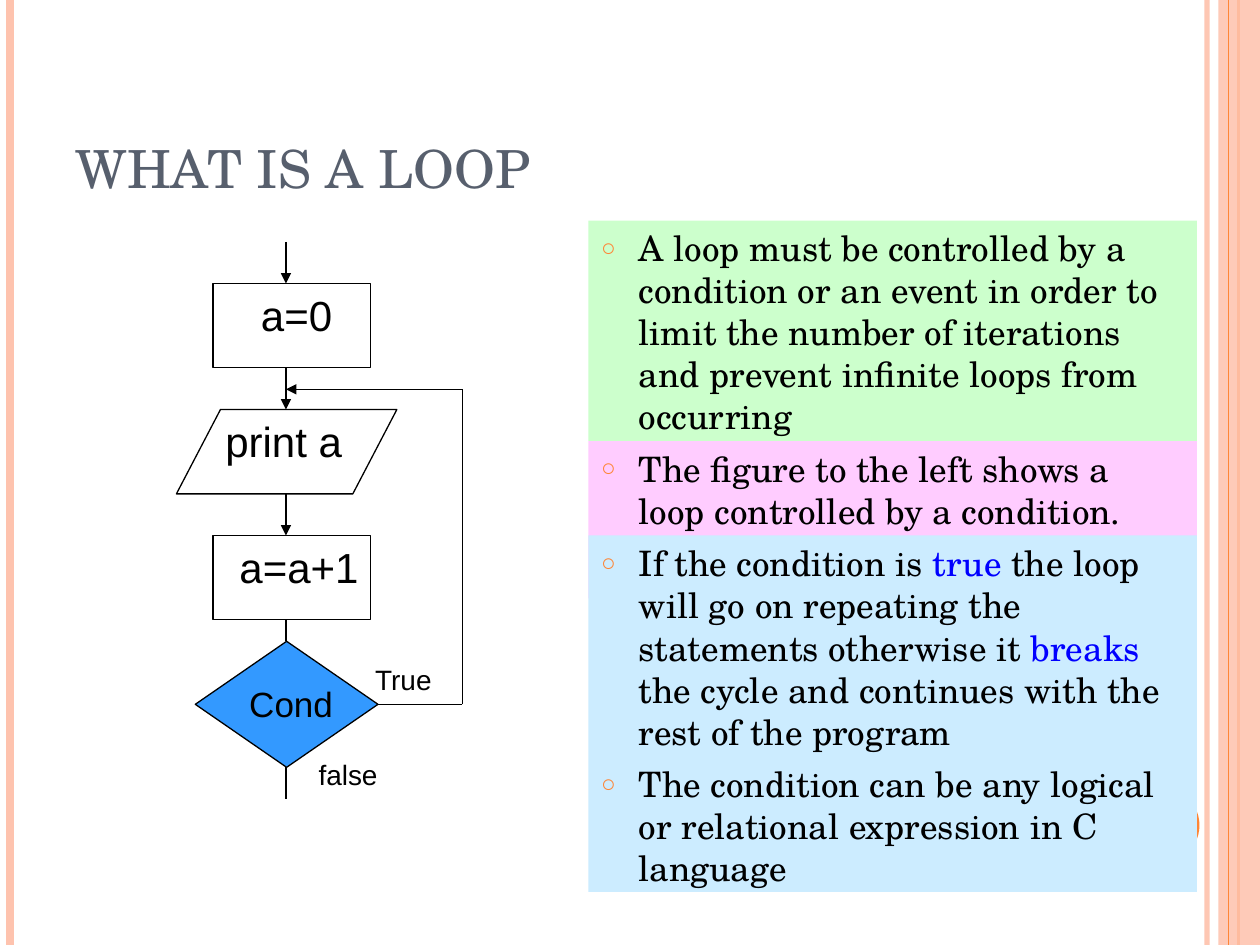
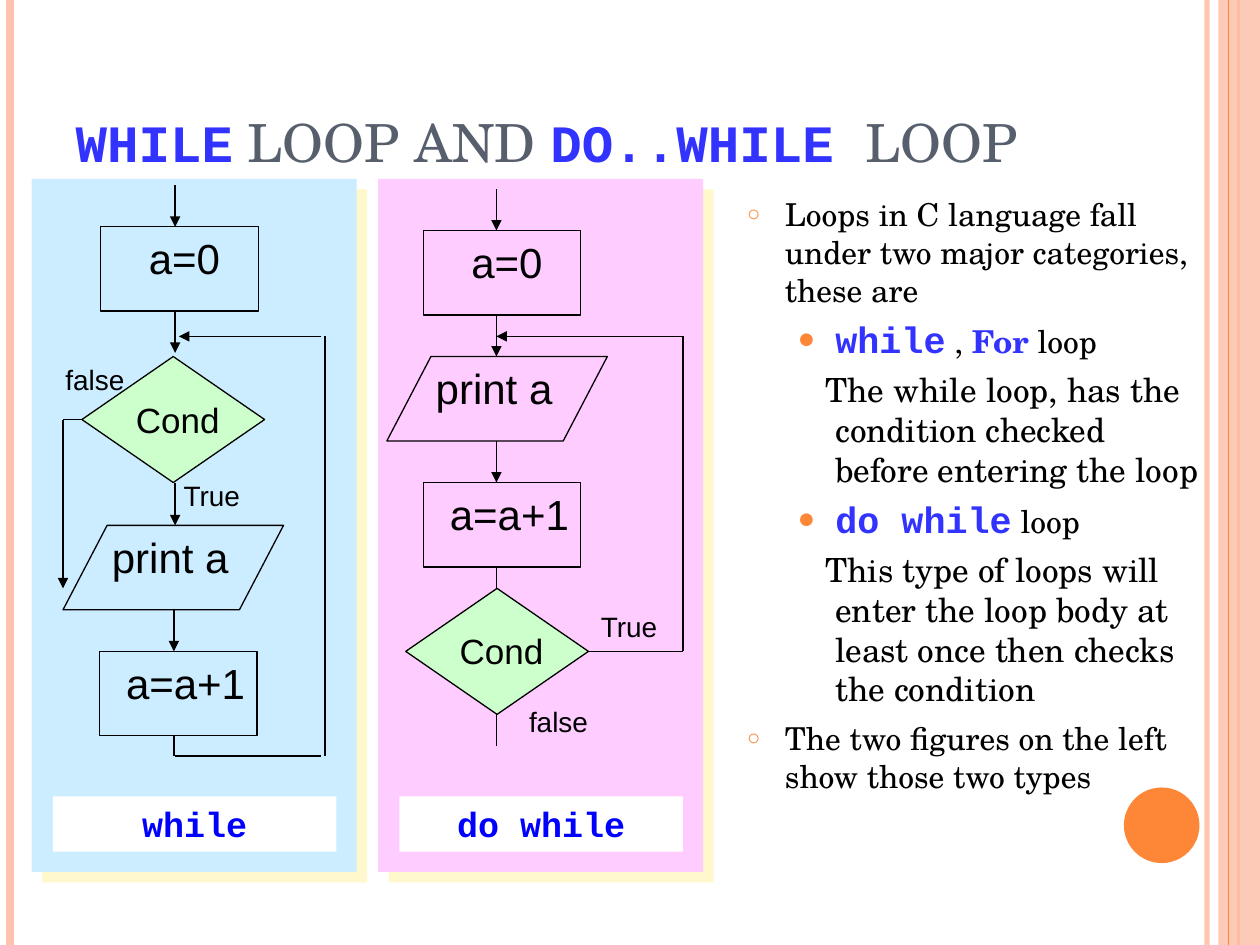
from dataclasses import dataclass
from typing import NamedTuple

from lxml.etree import SubElement
from pptx import Presentation
from pptx.dml.color import RGBColor
from pptx.enum.shapes import MSO_CONNECTOR, MSO_SHAPE
from pptx.enum.text import MSO_ANCHOR, MSO_AUTO_SIZE, PP_ALIGN
from pptx.oxml.ns import qn
from pptx.util import Pt

PX = 9144  # EMU per px, 100 px to the inch


@dataclass(frozen=True)
class Theme:
    serif: str = "TeX Gyre Schola"
    sans: str = "Arial"
    mono: str = "Courier New"
    ink: str = "000000"
    slate: str = "575F6D"
    orange: str = "FE8637"
    peach: str = "FEC3AE"
    shade: str = "FFF39D"
    white: str = "FFFFFF"
    green: str = "CCFFCC"
    pink: str = "FFCCFF"
    sky: str = "CCECFF"
    azure: str = "3399FF"
    blue: str = "0000FF"
    code: str = "3333FF"
    head: float = 30
    step: float = 24
    body: float = 20
    small: float = 18
    note: float = 19
    word: float = 21
    tag: float = 16
    hair: float = 0.75


T = Theme()


class Box(NamedTuple):
    left: int
    top: int
    width: int
    height: int


class Run(NamedTuple):
    text: str
    size: float
    color: str = T.ink
    font: str = T.serif
    bold: bool = False


class Mark(NamedTuple):
    level: int
    margin: int
    indent: int
    before: float
    char: str = ""
    scale: int = 100


class Item(NamedTuple):
    mark: Mark
    runs: list[Run]


class Label(NamedTuple):
    text: str
    box: Box
    size: float


class Node(NamedTuple):
    kind: MSO_SHAPE
    width: int
    height: int
    label: Label


class Wire(NamedTuple):
    x1: int
    y1: int
    x2: int
    y2: int
    arrow: bool = False


class Flow(NamedTuple):
    x: int  # spine of the chart
    y: int  # top of the first arrow
    fill: str
    nodes: list[tuple[Node, int, int]]
    wires: list[Wire]
    tags: list[tuple[Label, int, int]]


# Bullet styles
TOP = Mark(0, 30, -30, 6, "○", 70)
SUB = Mark(1, 70, -30, 4.5, "●", 80)
NOTE = Mark(1, 70, -8, 4.8)

# Flow chart parts; label places are relative to their node
SET = Node(MSO_SHAPE.RECTANGLE, 125, 67, Label(" a=0", Box(19, 0, 88, 50), T.step))
ADD = Node(MSO_SHAPE.RECTANGLE, 125, 67, Label(" a=a+1", Box(2, 0, 126, 50), T.step))
PRINT = Node(MSO_SHAPE.FLOWCHART_DATA, 175, 67, Label("print a", Box(29, 0, 116, 50), T.step))
COND = Node(MSO_SHAPE.FLOWCHART_DECISION, 145, 100, Label("Cond", Box(33, 28, 90, 44), T.body))
TRUE = Label("True", Box(0, 0, 67, 37), T.tag)
FALSE = Label("false", Box(0, 0, 69, 37), T.tag)


def rgb(color: str) -> RGBColor:
    return RGBColor.from_string(color)


def emu(box: Box) -> list[int]:
    return [side * PX for side in box]


def fade(fill, percent: int) -> None:
    tint = fill._xPr.find(".//" + qn("a:srgbClr"))
    SubElement(tint, qn("a:alpha")).set("val", str(percent * 1000))


def draw_shape(slide, kind: MSO_SHAPE, box: Box, fill: str = "", line: str = ""):
    shape = slide.shapes.add_shape(kind, *emu(box))
    shape.shadow.inherit = False
    if fill:
        shape.fill.solid()
        shape.fill.fore_color.rgb = rgb(fill)
    else:
        shape.fill.background()
    if line:
        shape.line.color.rgb = rgb(line)
        shape.line.width = Pt(T.hair)
    else:
        shape.line.fill.background()
    return shape


def draw_line(slide, wire: Wire, color: str = T.ink, width: float = T.hair):
    ends = [end * PX for end in wire[:4]]
    line = slide.shapes.add_connector(MSO_CONNECTOR.STRAIGHT, *ends)
    line.line.color.rgb = rgb(color)
    line.line.width = Pt(width)
    if wire.arrow:
        SubElement(line.line._get_or_add_ln(), qn("a:tailEnd")).set("type", "triangle")
    SubElement(line._element.spPr, qn("a:effectLst"))
    return line


def add_runs(para, runs: list[Run]) -> None:
    for item in runs:
        run = para.add_run()
        run.text = item.text
        run.font.name = item.font
        run.font.size = Pt(item.size)
        run.font.bold = item.bold
        run.font.color.rgb = rgb(item.color)


def draw_label(slide, label: Label, x: int, y: int) -> None:
    box = label.box._replace(left=x + label.box.left, top=y + label.box.top)
    frame = slide.shapes.add_textbox(*emu(box)).text_frame
    frame.word_wrap = False
    frame.auto_size = MSO_AUTO_SIZE.SHAPE_TO_FIT_TEXT
    para = frame.paragraphs[0]
    para.space_before = Pt(label.size / 4)
    add_runs(para, [Run(label.text, label.size, font=T.sans)])


def draw_flow(slide, flow: Flow) -> None:
    for node, x, y in flow.nodes:
        left, top = flow.x + x, flow.y + y
        fill = flow.fill if node is COND else ""
        draw_shape(slide, node.kind, Box(left, top, node.width, node.height), fill, T.ink)
        draw_label(slide, node.label, left, top)
    for x1, y1, x2, y2, arrow in flow.wires:
        draw_line(slide, Wire(flow.x + x1, flow.y + y1, flow.x + x2, flow.y + y2, arrow))
    for label, x, y in flow.tags:
        draw_label(slide, label, flow.x + x, flow.y + y)


def late_test(x: int, y: int, fill: str, right: int, true_x: int) -> Flow:
    """Loop that tests its condition after the body."""
    drops = [Wire(0, top, 0, top + 33, True) for top in (0, 100, 200)]
    back = [Wire(72, 367, right, 367), Wire(right, 367, right, 117),
            Wire(right, 117, 0, 117, True)]
    return Flow(
        x, y, fill,
        [(SET, -58, 33), (PRINT, -87, 133), (ADD, -58, 233), (COND, -72, 317)],
        drops + [Wire(0, 300, 0, 317), Wire(0, 417, 0, 442)] + back,
        [(TRUE, true_x, 329), (FALSE, 16, 404)])


def early_test(x: int, y: int, fill: str) -> Flow:
    """Loop that tests its condition before the body."""
    drops = [Wire(0, 0, 0, 33, True), Wire(0, 100, 0, 133, True),
             Wire(0, 236, 0, 270, True), Wire(-1, 336, -1, 370, True)]
    back = [Wire(-1, 436, -1, 453), Wire(0, 453, 116, 453),
            Wire(119, 453, 119, 120), Wire(116, 120, 3, 120, True)]
    leave = [Wire(-74, 186, -89, 186), Wire(-89, 186, -89, 320, True)]
    return Flow(
        x, y, fill,
        [(SET, -59, 33), (COND, -74, 136), (PRINT, -89, 270), (ADD, -60, 370)],
        drops + back + leave,
        [(TRUE, -3, 228), (FALSE, -97, 136)])


def place(slide, holder, box: Box):
    """Move a placeholder, bring it in front and give back its text frame."""
    holder.left, holder.top, holder.width, holder.height = emu(box)
    slide.shapes._spTree.append(holder._element)
    frame = holder.text_frame
    frame.word_wrap = True
    frame.auto_size = MSO_AUTO_SIZE.NONE
    return frame


def set_title(slide, box: Box, runs: list[Run]) -> None:
    frame = place(slide, slide.shapes.title, box)
    frame.vertical_anchor = MSO_ANCHOR.BOTTOM
    frame.paragraphs[0].alignment = PP_ALIGN.LEFT
    add_runs(frame.paragraphs[0], runs)


def set_mark(para, mark: Mark) -> None:
    para.level = mark.level
    para.space_before = Pt(mark.before)
    props = para._p.get_or_add_pPr()
    props.set("marL", str(mark.margin * PX))
    props.set("indent", str(mark.indent * PX))
    if not mark.char:
        SubElement(props, qn("a:buNone"))
        return
    SubElement(SubElement(props, qn("a:buClr")), qn("a:srgbClr")).set("val", T.orange)
    SubElement(props, qn("a:buSzPct")).set("val", str(mark.scale * 1000))
    SubElement(props, qn("a:buFont")).set("typeface", T.sans)
    SubElement(props, qn("a:buChar")).set("char", mark.char)


def set_body(slide, box: Box, items: list[Item]) -> None:
    frame = place(slide, slide.placeholders[1], box)
    for index, item in enumerate(items):
        para = frame.add_paragraph() if index else frame.paragraphs[0]
        set_mark(para, item.mark)
        add_runs(para, item.runs)


def draw_panel(slide, left: int, fill: str, name: str) -> None:
    panel = draw_shape(slide, MSO_SHAPE.RECTANGLE, Box(left, 142, 258, 550), fill)
    glow = SubElement(panel._element.spPr.find(qn("a:effectLst")), qn("a:outerShdw"))
    for key, val in {"dist": Pt(8.5), "dir": 45 * 60000, "algn": "ctr", "rotWithShape": 0}.items():
        glow.set(key, str(val))
    tint = SubElement(glow, qn("a:srgbClr"))
    tint.set("val", T.shade)
    SubElement(tint, qn("a:alpha")).set("val", "50000")
    # Caption strip
    strip = draw_shape(slide, MSO_SHAPE.RECTANGLE, Box(left + 17, 632, 225, 44), T.white)
    frame = strip.text_frame
    frame.word_wrap = True
    frame.auto_size = MSO_AUTO_SIZE.SHAPE_TO_FIT_TEXT
    frame.vertical_anchor = MSO_ANCHOR.TOP
    para = frame.paragraphs[0]
    para.alignment = PP_ALIGN.CENTER
    para.space_before = Pt(12.5)
    add_runs(para, [Run(name, T.body, T.blue, T.mono, True)])


def dress_master(deck, slide) -> None:
    """Draw the side bands and disc, then move them to the slide master."""
    def rule(x: int, color: str, width: float):
        return draw_line(slide, Wire(x, 0, x, 750), color, width)

    inner = rule(958, T.peach, 3)
    fade(inner.line.fill, 93)
    parts = [inner, rule(8, T.peach, 4.5), rule(983, T.orange, 1.5)]
    band = draw_shape(slide, MSO_SHAPE.RECTANGLE, Box(967, 0, 33, 750), T.peach)
    fade(band.fill, 87)
    disc = Box(892, 625, 60, 60)
    parts += [band, rule(975, T.orange, T.hair),
              draw_shape(slide, MSO_SHAPE.OVAL, disc, T.orange)]
    for number, part in enumerate(parts, 100):
        part._element.xpath(".//p:cNvPr")[0].set("id", str(number))
        deck.slide_master.shapes._spTree.append(part._element)


def loop_slide(slide) -> None:
    for top, height, fill in ((350, 125, T.pink), (175, 175, T.green), (425, 283, T.sky)):
        draw_shape(slide, MSO_SHAPE.RECTANGLE, Box(467, top, 483, height), fill)
    set_title(slide, Box(50, 58, 900, 105), [Run("WHAT IS A LOOP", T.head, T.slate)])
    texts = [
        ["A loop must be controlled by a condition or an event in order to limit "
         "the number of iterations and prevent infinite loops from occurring"],
        ["The figure to the left shows a loop controlled by a condition."],
        ["If the condition is ", "true", " the loop will go on repeating the statements "
         "otherwise it ", "breaks", " the cycle and continues with the rest of the program"],
        ["The condition can be any logical or relational expression in C language"],
    ]
    # Every second piece of a line is a keyword
    set_body(slide, Box(467, 175, 483, 550), [
        Item(TOP, [Run(text, T.body, T.blue if i % 2 else T.ink) for i, text in enumerate(line)])
        for line in texts])
    draw_flow(slide, late_test(227, 192, T.azure, 140, 61))


def kinds_slide(slide) -> None:
    draw_panel(slide, 25, T.sky, "while")
    draw_panel(slide, 300, T.pink, "do while")
    set_title(slide, Box(50, 55, 900, 87), [
        Run("WHILE", T.head, T.code, T.mono, True), Run(" LOOP AND ", T.head, T.slate),
        Run("DO..WHILE ", T.head, T.code, T.mono, True), Run("LOOP", T.head, T.slate)])
    set_body(slide, Box(583, 150, 383, 542), [
        Item(TOP, [Run("Loops in C language fall under two major categories, these are", T.small)]),
        Item(SUB, [Run("while", T.word, T.code, T.mono, True), Run(" , ", T.small),
                   Run("For", T.small, T.code, bold=True), Run(" loop", T.small)]),
        Item(NOTE, [Run("The while loop, has the condition checked before entering the loop",
                        T.note)]),
        Item(SUB, [Run("do while", T.word, T.code, T.mono, True), Run(" loop", T.small)]),
        Item(NOTE, [Run("This type of loops will enter the loop body at least once "
                        "then checks the condition", T.note)]),
        Item(TOP, [Run("The two figures on the left show those two types", T.small)])])
    draw_flow(slide, late_test(394, 150, T.green, 148, 73))
    draw_flow(slide, early_test(139, 147, T.green))


def main() -> None:
    deck = Presentation()
    deck.slide_width, deck.slide_height = 1000 * PX, 750 * PX
    first, second = [deck.slides.add_slide(deck.slide_layouts[1]) for _ in range(2)]
    dress_master(deck, first)
    loop_slide(first)
    kinds_slide(second)
    deck.save("out.pptx")


if __name__ == "__main__":
    main()
